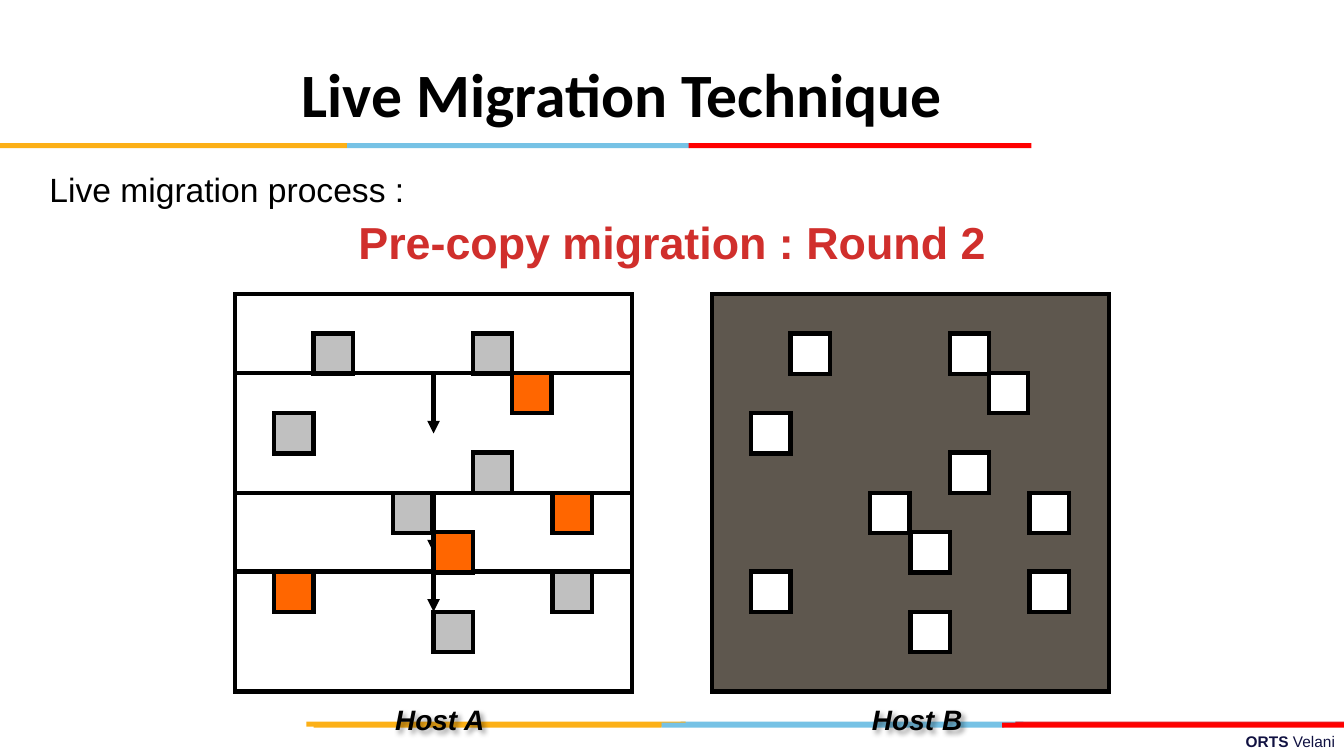
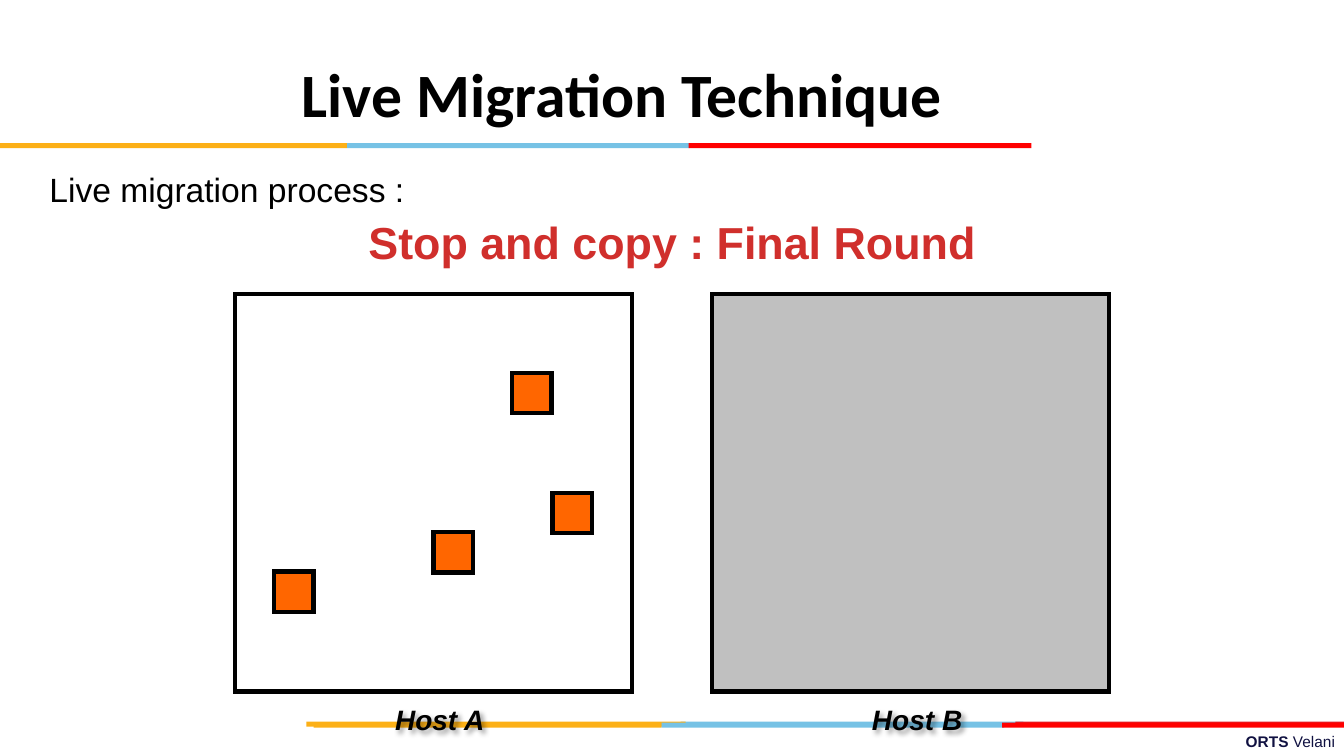
from dataclasses import dataclass

from lxml.etree import SubElement
from pptx import Presentation
from pptx.dml.color import RGBColor as RGB
from pptx.enum.shapes import MSO_CONNECTOR as CONN, MSO_SHAPE as SHAPE
from pptx.enum.text import MSO_ANCHOR as ANCHOR, MSO_AUTO_SIZE as AUTO, PP_ALIGN as ALIGN
from pptx.oxml.ns import qn
from pptx.util import Emu, Pt

PX = 9144  # EMU per px, 100 px to the inch


@dataclass(frozen=True)
class Theme:
    black: str = "000000"
    white: str = "FFFFFF"
    grey: str = "C0C0C0"
    dark: str = "5E574E"
    orange: str = "FF6600"
    heading: str = "D02F2C"
    navy: str = "101141"
    gold: str = "FCB017"
    sky: str = "76C2E5"
    red: str = "FF0000"
    crimson: str = "E31C24"
    title_font: str = "Calibri"
    font: str = "Arial"
    title_size: int = 44
    heading_size: int = 32
    body_size: int = 24
    label_size: int = 20
    footer_size: int = 11
    outline: int = 3


T = Theme()


def write(p, text, size, color=T.black, font=T.font, bold=False, italic=False, align=None):
    """Add one formatted run to a paragraph."""
    r = p.add_run()
    r.text = text
    f = r.font
    f.name, f.size, f.bold, f.italic = font, Pt(size), bold, italic
    f.color.rgb = RGB.from_string(color)
    if align is not None:
        p.alignment = align


def rect(s, x, y, w, h, fill=None, outlined=True):
    """Add a rectangle, by default with the black outline."""
    sp = s.shapes.add_shape(SHAPE.RECTANGLE, *[Emu(v * PX) for v in (x, y, w, h)])
    sp.shadow.inherit = False
    if fill:
        sp.fill.solid()
        sp.fill.fore_color.rgb = RGB.from_string(fill)
    else:
        sp.fill.background()
    if outlined:
        sp.line.color.rgb = RGB.from_string(T.black)
        sp.line.width = Pt(T.outline)
        SubElement(sp.element.spPr.find(qn("a:ln")), qn("a:miter"), lim="800000")
    else:
        sp.line.fill.background()
    return sp


prs = Presentation()
prs.slide_width, prs.slide_height = Emu(1333 * PX), Emu(750 * PX)
layout = prs.slide_layouts[1]

# Shared layout: title and body places
for ph in list(layout.placeholders):
    if ph.placeholder_format.idx > 1:
        ph.element.getparent().remove(ph.element)
places = {0: (167, 10, 900, 165), 1: (44, 163, 1200, 495)}
for ph in layout.placeholders:
    ph.left, ph.top, ph.width, ph.height = [Emu(v * PX) for v in places[ph.placeholder_format.idx]]
    tf = ph.text_frame
    tf.margin_left = tf.margin_right = tf.margin_top = tf.margin_bottom = Emu(5 * PX)

# Shared layout: three-colour rules and footer, drawn on a slide and moved to the layout
first = prs.slides.add_slide(layout)
bands = [
    (675, 716, 340, T.sky), (1007, 716, 326, T.crimson), (304, 716, 376, T.gold),
    (656, 717, 340, T.sky), (311, 717, 345, T.gold), (994, 717, 339, T.red),
    (344, 142, 340, T.sky), (0, 142, 344, T.gold), (683, 142, 340, T.red),
]
shared = [rect(first, x, y, w, 5, fill, outlined=False) for x, y, w, fill in bands]
footer = first.shapes.add_textbox(*[Emu(v * PX) for v in (478, 721, 856, 29)])
footer.text_frame.word_wrap = True
p = footer.text_frame.paragraphs[0]
write(p, "ORTS ", T.footer_size, T.navy, bold=True, align=ALIGN.RIGHT)
write(p, "Velani", T.footer_size, T.navy)
for sp in shared + [footer]:
    layout.shapes.element.append(sp.element)

# Memory pages as (column, row) on a 10 by 10 grid
HOST_A, HOST_B, TOP, SIDE = 233, 706, 292, 394
clean = [(6, 1), (1, 3), (2, 1), (4, 5), (6, 4), (8, 7), (5, 8)]
dirty = [(7, 2), (5, 6), (8, 5), (1, 7)]
scans = [(2, 430), (5, 548), (7, 607)]  # rows scanned, arrow tip

rounds = [
    dict(slide=first, heading="Pre-copy migration : Round 2", host_b=T.dark,
         clean=clean, copied=clean + dirty, scans=scans),
    dict(slide=prs.slides.add_slide(layout), heading="Stop and copy : Final Round",
         host_b=T.grey, clean=[], copied=[], scans=[]),
]

for rnd in rounds:
    s = rnd["slide"]

    # Title, lead line and heading
    write(s.shapes.title.text_frame.paragraphs[0], "Live Migration Technique",
          T.title_size, font=T.title_font, bold=True, align=ALIGN.CENTER)
    p = s.placeholders[1].text_frame.paragraphs[0]
    write(p, "Live migration process :", T.body_size)
    pPr = p._p.get_or_add_pPr()
    pPr.set("marL", "0")
    pPr.set("indent", "0")
    SubElement(pPr, qn("a:buNone"))
    tf = s.shapes.add_textbox(*[Emu(v * PX) for v in (317, 208, 700, 64)]).text_frame
    tf.word_wrap = True
    write(tf.paragraphs[0], rnd["heading"], T.heading_size, T.heading,
          bold=True, align=ALIGN.CENTER)

    # Host memory panels
    rect(s, HOST_A, TOP, SIDE, SIDE)
    rect(s, HOST_B, TOP, SIDE, SIDE, rnd["host_b"])

    # Clean and copied pages, scan passes, then dirty pages on top
    layers = [(HOST_A, rnd["clean"], T.grey), (HOST_B, rnd["copied"], T.white),
              (HOST_A, dirty, T.orange)]
    for left, pages, fill in layers:
        if fill == T.orange:
            for rows, tip in rnd["scans"]:
                scan = rect(s, HOST_A, TOP, SIDE, SIDE * rows // 10)
                x = Emu((HOST_A + SIDE // 2) * PX)
                arrow = s.shapes.add_connector(CONN.STRAIGHT, x, scan.top + scan.height,
                                               x, Emu(tip * PX))
                arrow.begin_connect(scan, 2)
                arrow.line.color.rgb = RGB.from_string(T.black)
                arrow.line.width = Pt(T.outline)
                spPr = arrow.element.spPr
                SubElement(spPr.find(qn("a:ln")), qn("a:tailEnd"), type="triangle")
                SubElement(spPr, qn("a:effectLst"))
        for col, row in pages:
            rect(s, left + SIDE * col // 10, TOP + SIDE * row // 10, 39, 40, fill)

    # Host labels with a soft shadow
    for left, name in [(HOST_A, "Host A"), (HOST_B, "Host B")]:
        tb = s.shapes.add_textbox(*[Emu(v * PX) for v in (left + 149, 692, 110, 44)])
        tf = tb.text_frame
        tf.word_wrap, tf.auto_size = False, AUTO.SHAPE_TO_FIT_TEXT
        tf.vertical_anchor = ANCHOR.TOP
        write(tf.paragraphs[0], name, T.label_size, bold=True, italic=True)
        effects = SubElement(tb.element.spPr, qn("a:effectLst"))
        shadow = SubElement(effects, qn("a:outerShdw"), blurRad="50800", dist="38100",
                            dir="2700000", algn="tl", rotWithShape="0")
        tint = SubElement(shadow, qn("a:srgbClr"), val=T.black)
        SubElement(tint, qn("a:alpha"), val="40000")

prs.save("out.pptx")
